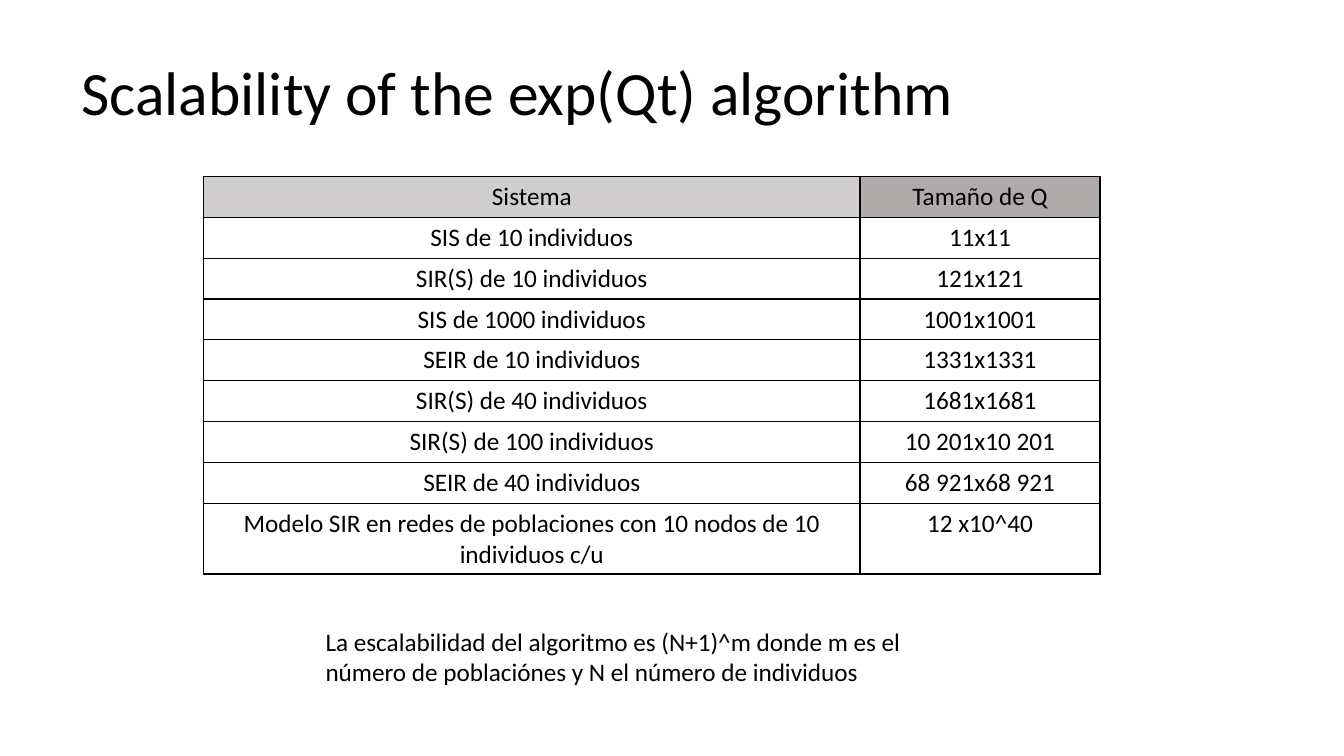
"""Build the slide on how the exp(Qt) algorithm scales, with its table of matrix sizes."""
from lxml import etree
from pptx import Presentation, util as u
from pptx.dml.color import RGBColor
from pptx.enum import text
from pptx.oxml.ns import qn

THEME = dict(font="Calibri", title=44, body=18, ink="000000", white="FFFFFF",
             header=("D0CECE", "AFABAB"), border=1)
ROWS = [
    ("Sistema", "Tamaño de Q"),
    ("SIS de 10 individuos", "11x11"),
    ("SIR(S) de 10 individuos", "121x121"),
    ("SIS de 1000 individuos", "1001x1001"),
    ("SEIR de 10 individuos", "1331x1331"),
    ("SIR(S) de 40 individuos", "1681x1681"),
    ("SIR(S) de 100 individuos", "10 201x10 201"),
    ("SEIR de 40 individuos", "68 921x68 921"),
    ("Modelo SIR en redes de poblaciones con 10 nodos de 10 individuos c/u", "12 x10^40"),
]
COLS = (6.51, 2.38)
TABLE_HEIGHT = 3.65


def write(tf, words, size=THEME["body"], align=text.PP_ALIGN.LEFT, spacing=1.0,
          anchor=text.MSO_ANCHOR.TOP):
    tf.word_wrap = True
    tf.vertical_anchor = anchor
    p = tf.paragraphs[0]
    p.alignment, p.line_spacing = align, spacing
    r = p.add_run()
    r.text = words
    r.font.name, r.font.size = THEME["font"], u.Pt(size)
    r.font.color.rgb = RGBColor.from_string(THEME["ink"])


def add_borders(cell):
    tcPr = cell._tc.get_or_add_tcPr()
    for i, side in enumerate(("lnL", "lnR", "lnT", "lnB")):
        ln = etree.Element(qn(f"a:{side}"), w=str(u.Pt(THEME["border"])))
        fill = etree.SubElement(ln, qn("a:solidFill"))
        etree.SubElement(fill, qn("a:srgbClr"), val=THEME["ink"])
        tcPr.insert(i, ln)


prs = Presentation()
prs.slide_width, prs.slide_height = u.Inches(13.33), u.Inches(7.5)
s = prs.slides.add_slide(prs.slide_layouts[6])

title = s.shapes.add_textbox(u.Inches(0.71), u.Inches(0.22), u.Inches(11.5), u.Inches(1.45))
write(title.text_frame, "Scalability of the exp(Qt) algorithm", size=THEME["title"],
      spacing=0.9, anchor=text.MSO_ANCHOR.MIDDLE)

note = s.shapes.add_textbox(u.Inches(3.13), u.Inches(6.16), prs.slide_width // 2, u.Inches(0.71))
write(note.text_frame, "La escalabilidad del algoritmo es (N+1)^m donde m es el "
      "número de poblaciónes y N el número de individuos")
note.text_frame.auto_size = text.MSO_AUTO_SIZE.SHAPE_TO_FIT_TEXT

table = s.shapes.add_table(len(ROWS), len(COLS), u.Inches(2.02), u.Inches(1.75),
                           u.Inches(sum(COLS)), u.Inches(TABLE_HEIGHT)).table
for col, width in zip(table.columns, COLS):
    col.width = u.Inches(width)
table.first_row = table.horz_banding = False
for i, row in enumerate(ROWS):
    for j, words in enumerate(row):
        cell = table.cell(i, j)
        write(cell.text_frame, words, align=text.PP_ALIGN.CENTER)
        cell.fill.solid()
        cell.fill.fore_color.rgb = RGBColor.from_string(
            THEME["header"][j] if i == 0 else THEME["white"])
        add_borders(cell)

prs.save("out.pptx")
